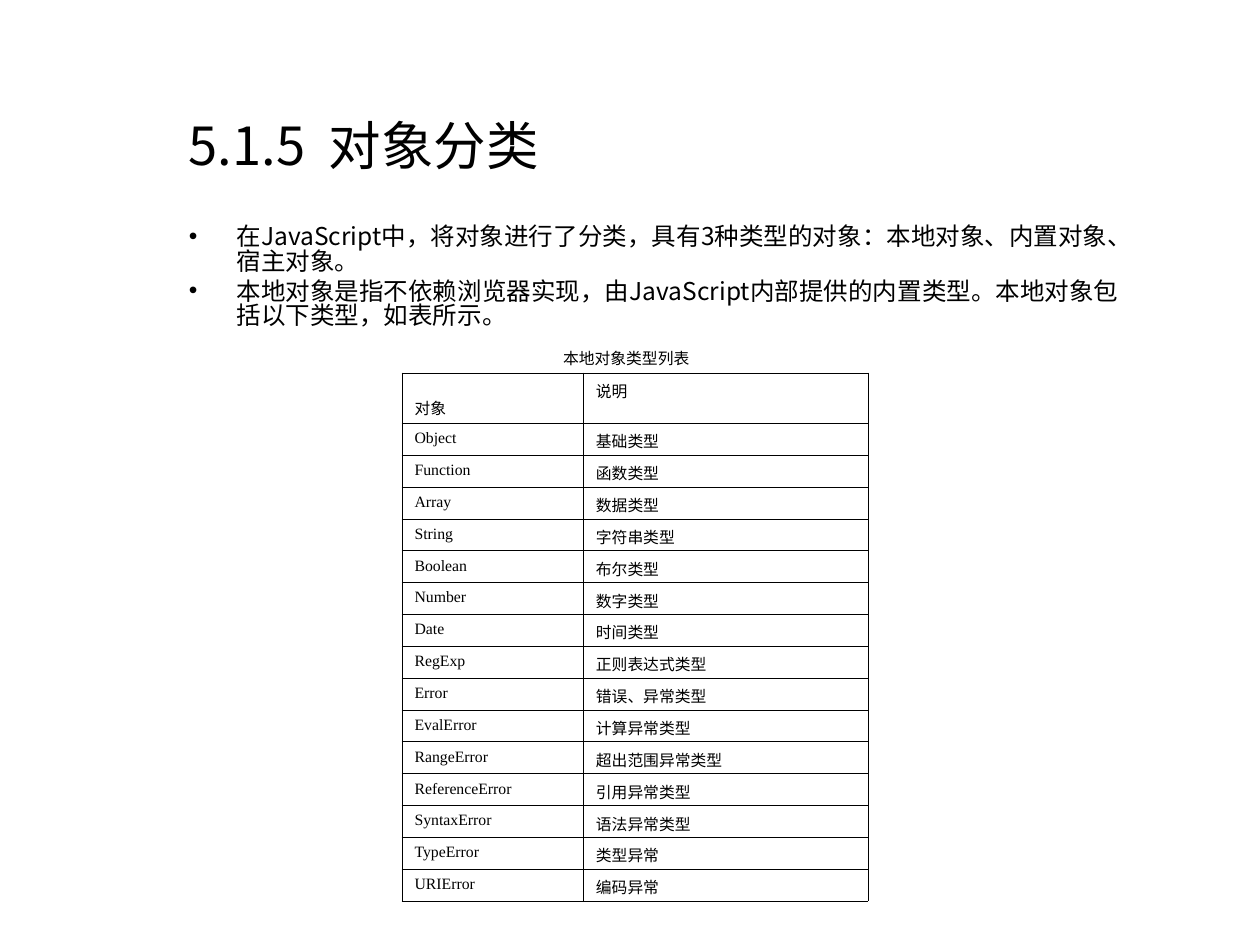
"""Build the slide on JavaScript object categories with its table of native types."""
from lxml.etree import SubElement
from pptx import Presentation
from pptx.dml.color import RGBColor
from pptx.enum.text import MSO_ANCHOR, MSO_AUTO_SIZE, PP_ALIGN
from pptx.oxml.ns import qn
from pptx.util import Inches, Pt

TITLE = "5.1.5  对象分类"
BULLETS = [
    "在JavaScript中，将对象进行了分类，具有3种类型的对象：本地对象、内置对象、宿主对象。",
    "本地对象是指不依赖浏览器实现，由JavaScript内部提供的内置类型。本地对象包括以下类型，如表所示。",
]
CAPTION = "本地对象类型列表"
ROWS = [
    ("对象", "说明"),
    ("Object", "基础类型"),
    ("Function", "函数类型"),
    ("Array", "数据类型"),
    ("String", "字符串类型"),
    ("Boolean", "布尔类型"),
    ("Number", "数字类型"),
    ("Date", "时间类型"),
    ("RegExp", "正则表达式类型"),
    ("Error", "错误、异常类型"),
    ("EvalError", "计算异常类型"),
    ("RangeError", "超出范围异常类型"),
    ("ReferenceError", "引用异常类型"),
    ("SyntaxError", "语法异常类型"),
    ("TypeError", "类型异常"),
    ("URIError", "编码异常"),
]
COLORS = {"text": "000000", "border": "000000"}
CJK = "Noto Sans CJK SC"
COL_WIDTHS = (1.44, 2.26)
HEADER_H, ROW_H = 0.4, 0.253


def add_run(p, text, size, font):
    r = p.add_run()
    r.text = text
    r.font.size = Pt(size)
    r.font.name = font
    r.font.color.rgb = RGBColor.from_string(COLORS["text"])
    SubElement(r._r.get_or_add_rPr(), qn("a:ea"), typeface=CJK)


def add_box(s, left, top, width, height, anchor, wrap=True):
    tf = s.shapes.add_textbox(*map(Inches, (left, top, width, height))).text_frame
    tf.word_wrap = wrap
    tf.vertical_anchor = anchor
    return tf


def add_bullet(p):
    p.space_before = Pt(3.5)
    p.line_spacing = 0.82
    pPr = p._p.get_or_add_pPr()
    pPr.set("marL", str(Inches(0.38)))
    pPr.set("indent", str(-Inches(0.38)))
    SubElement(pPr, qn("a:buFont"), typeface="Arial")
    SubElement(pPr, qn("a:buChar"), char="•")


def add_borders(cell):
    tcPr = cell._tc.get_or_add_tcPr()
    for i, side in enumerate(("lnL", "lnR", "lnT", "lnB")):
        ln = tcPr.makeelement(qn(f"a:{side}"), {"w": str(Pt(0.45))})
        fill = SubElement(ln, qn("a:solidFill"))
        SubElement(fill, qn("a:srgbClr"), val=COLORS["border"])
        tcPr.insert(i, ln)


def add_types_table(s):
    height = HEADER_H + ROW_H * (len(ROWS) - 1)
    frame = s.shapes.add_table(len(ROWS), len(COL_WIDTHS), Inches(3.19), Inches(2.96),
                               Inches(sum(COL_WIDTHS)), Inches(height))
    table = frame.table
    table.first_row = table.horz_banding = False
    for col, width in zip(table.columns, COL_WIDTHS):
        col.width = Inches(width)
    for i, texts in enumerate(ROWS):
        table.rows[i].height = Inches(ROW_H if i else HEADER_H)
        for j, text in enumerate(texts):
            cell = table.cell(i, j)
            cell.fill.background()
            add_borders(cell)
            add_run(cell.text_frame.paragraphs[0], text, 9, "Times New Roman")
    corner = table.cell(0, 0)
    corner.vertical_anchor = MSO_ANCHOR.BOTTOM
    corner.margin_bottom = Inches(0.03)


def main():
    prs = Presentation()
    prs.slide_width, prs.slide_height = Inches(10), Inches(7.5)
    s = prs.slides.add_slide(prs.slide_layouts[6])

    tf = add_box(s, 1.4, 0.75, 7.75, 0.8, MSO_ANCHOR.MIDDLE)
    add_run(tf.paragraphs[0], TITLE, 30, CJK)

    tf = add_box(s, 1.4, 1.75, 7.77, 5.07, MSO_ANCHOR.TOP)
    for i, text in enumerate(BULLETS):
        p = tf.add_paragraph() if i else tf.paragraphs[0]
        add_bullet(p)
        add_run(p, text, 14, CJK)

    tf = add_box(s, 4.37, 2.72, 1.2, 0.25, MSO_ANCHOR.MIDDLE, wrap=False)
    tf.auto_size = MSO_AUTO_SIZE.SHAPE_TO_FIT_TEXT
    tf.paragraphs[0].alignment = PP_ALIGN.CENTER
    add_run(tf.paragraphs[0], CAPTION, 9, "Arial")

    add_types_table(s)
    prs.save("out.pptx")


if __name__ == "__main__":
    main()
